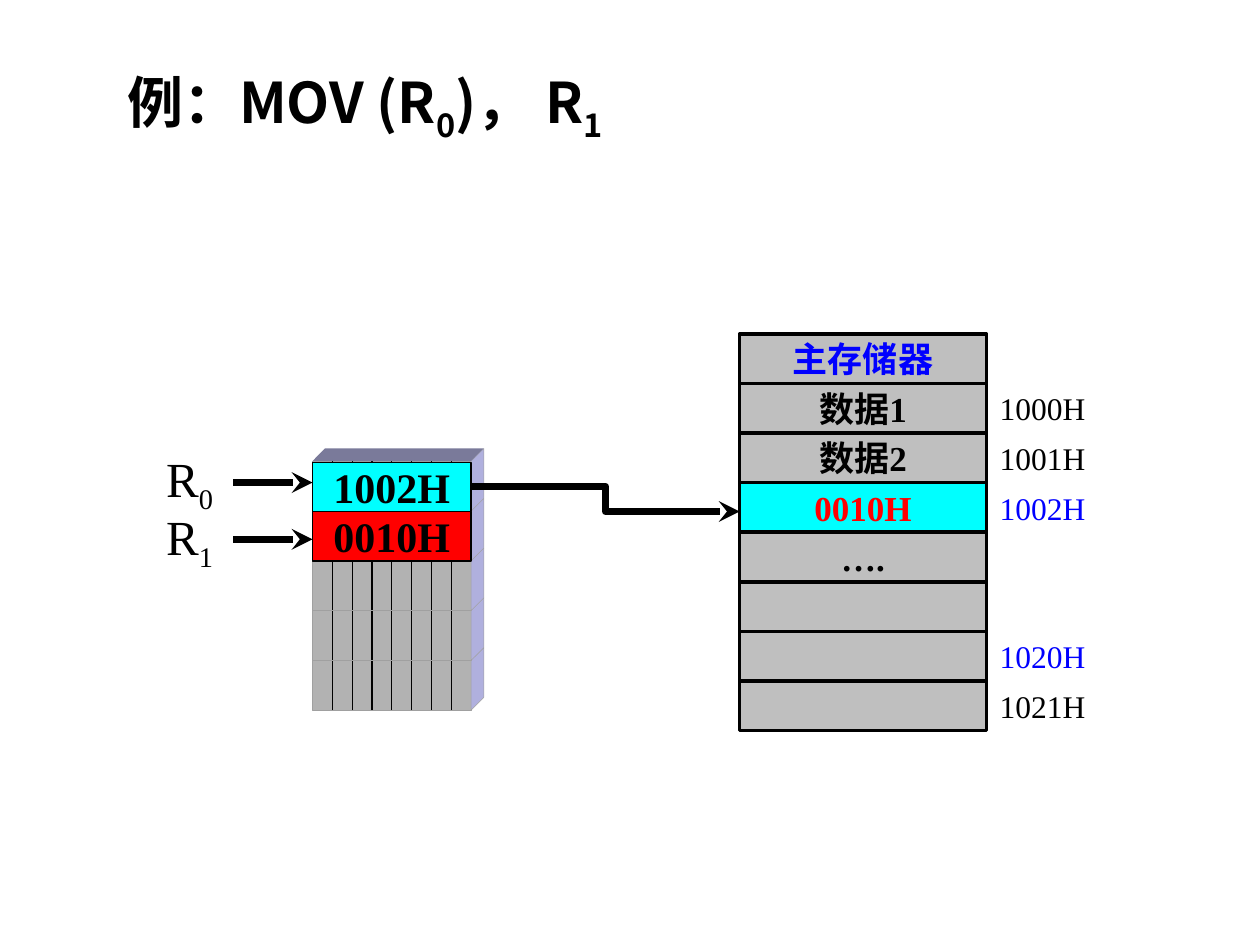
from dataclasses import dataclass

from lxml import etree
from pptx import Presentation
from pptx.dml.color import RGBColor
from pptx.enum.shapes import MSO_CONNECTOR as Connector, MSO_SHAPE as Shape
from pptx.enum.text import MSO_ANCHOR as Anchor, PP_ALIGN as Align
from pptx.oxml.ns import qn
from pptx.util import Inches, Pt

COLORS = {
    "black": "000000", "white": "FFFFFF", "blue": "0000FF", "cyan": "00FFFF",
    "red": "FF0000", "memory": "BFBFBF", "front": "B2B2B2", "edge": "A0A0A0",
    "top": "7A7A9A", "side": "B0B0DE",
}
SERIF = "Times New Roman"
SANS = "Noto Sans CJK SC"

BANK_LEFT, BANK_TOP, BANK_WIDTH = 2.48, 3.66, 1.26
BANK_ROWS, BANK_BITS, BANK_PITCH, DEPTH = 5, 8, 0.395, 0.1
MEMORY_LEFT, MEMORY_TOP, MEMORY_WIDTH = 5.87, 2.65, 1.96
MEMORY_PITCH = 3.15 / 8
ADDRESS_LEFT, ADDRESS_WIDTH = 7.76, 1.03


@dataclass
class MemoryRow:
    text: str = ""
    address: str = ""
    color: str = "black"
    fill: str = "memory"
    address_color: str = "black"


@dataclass
class Register:
    index: str
    value: str
    fill: str
    cell_top: float
    label_top: float
    arrow_y: float


MEMORY = [
    MemoryRow("主存储器", color="blue"),
    MemoryRow("数据1", "1000H"),
    MemoryRow("数据2", "1001H"),
    MemoryRow("0010H", "1002H", "red", "cyan", "blue"),
    MemoryRow("…."),
    MemoryRow(),
    MemoryRow("", "1020H", address_color="blue"),
    MemoryRow("", "1021H"),
]
REGISTERS = [
    Register("0", "1002H", "cyan", 3.67, 3.51, 3.83),
    Register("1", "0010H", "red", 4.06, 3.97, 4.28),
]


def rgb(name: str) -> RGBColor:
    return RGBColor.from_string(COLORS[name])


def write(shape, *texts: str, size: float, color: str = "black", font: str = SERIF,
          bold: bool = False, align=Align.LEFT, anchor=Anchor.TOP, wrap: bool = True) -> None:
    """Odd-numbered texts are set as subscripts."""
    frame = shape.text_frame
    frame.word_wrap = wrap
    frame.vertical_anchor = anchor
    paragraph = frame.paragraphs[0]
    paragraph.alignment = align
    for position, text in enumerate(texts):
        run = paragraph.add_run()
        run.text = text
        run.font.size = Pt(size)
        run.font.bold = bold
        run.font.name = font
        run.font.color.rgb = rgb(color)
        properties = run.font._element
        etree.SubElement(properties, qn("a:ea"), typeface=SANS)
        if position % 2:
            properties.set("baseline", "-25000")


def paint(shape, fill: str, line: str = "", width: float = 0) -> None:
    shape.shadow.inherit = False
    shape.fill.solid()
    shape.fill.fore_color.rgb = rgb(fill)
    if line:
        shape.line.color.rgb = rgb(line)
        shape.line.width = Pt(width)
    else:
        shape.line.fill.background()


def add_box(slide, left: float, top: float, width: float, height: float,
            fill: str, line: str = "", line_width: float = 0):
    shape = slide.shapes.add_shape(
        Shape.RECTANGLE, Inches(left), Inches(top), Inches(width), Inches(height))
    paint(shape, fill, line, line_width)
    return shape


def add_text(slide, left: float, top: float, width: float, height: float,
             *texts: str, **style) -> None:
    box = slide.shapes.add_textbox(Inches(left), Inches(top), Inches(width), Inches(height))
    write(box, *texts, **style)


def add_face(slide, points: list[tuple[float, float]], fill: str, line: str = "") -> None:
    corners = [(Inches(x), Inches(y)) for x, y in points]
    builder = slide.shapes.build_freeform(*corners[0])
    builder.add_line_segments(corners[1:], close=True)
    paint(builder.convert_to_shape(), fill, line, 0.25)


def add_line(slide, start: tuple[float, float], end: tuple[float, float], width: float,
             kind=Connector.STRAIGHT, arrow: bool = False) -> None:
    connector = slide.shapes.add_connector(
        kind, Inches(start[0]), Inches(start[1]), Inches(end[0]), Inches(end[1]))
    connector.line.color.rgb = rgb("black")
    connector.line.width = Pt(width)
    if arrow:
        etree.SubElement(connector.line._get_or_add_ln(), qn("a:tailEnd"), type="stealth")
    etree.SubElement(connector._element.spPr, qn("a:effectLst"))


def draw_bank(slide) -> None:
    right = BANK_LEFT + BANK_WIDTH
    for row in reversed(range(BANK_ROWS)):
        top = BANK_TOP + row * BANK_PITCH
        bottom = top + BANK_PITCH
        add_box(slide, BANK_LEFT, top, BANK_WIDTH, BANK_PITCH, "front", "edge", 0.25)
        add_face(slide, [(right, top), (right + DEPTH, top - DEPTH),
                         (right + DEPTH, bottom - DEPTH), (right, bottom)], "side", "edge")
        for bit in range(1, BANK_BITS):
            x = BANK_LEFT + bit * BANK_WIDTH / BANK_BITS
            add_line(slide, (x, top), (x, bottom), 0.75)
    add_face(slide, [(BANK_LEFT, BANK_TOP), (BANK_LEFT + DEPTH, BANK_TOP - DEPTH),
                     (right + DEPTH, BANK_TOP - DEPTH), (right, BANK_TOP)], "top")


def draw_memory(slide) -> None:
    centred = {"align": Align.CENTER, "anchor": Anchor.MIDDLE}
    tops = [MEMORY_TOP + index * MEMORY_PITCH for index in range(len(MEMORY))]
    for row, top in zip(MEMORY, tops):
        label = add_box(slide, ADDRESS_LEFT, top, ADDRESS_WIDTH, MEMORY_PITCH, "white")
        if row.address:
            write(label, row.address, size=18, color=row.address_color, **centred)
    for row, top in zip(MEMORY, tops):
        cell = add_box(slide, MEMORY_LEFT, top, MEMORY_WIDTH, MEMORY_PITCH,
                       row.fill, "black", 2)
        if row.text:
            write(cell, row.text, size=20, color=row.color, bold=True, **centred)


def draw_register(slide, register: Register) -> None:
    add_text(slide, 1.22, register.label_top, 0.59, 0.57, "R", register.index,
             size=28, wrap=False)
    add_line(slide, (1.85, register.arrow_y), (BANK_LEFT, register.arrow_y), 4, arrow=True)
    cell = add_box(slide, BANK_LEFT, register.cell_top, BANK_WIDTH, 0.39,
                   register.fill, "black", 1)
    write(cell, register.value, size=24, bold=True, wrap=False,
          align=Align.CENTER, anchor=Anchor.MIDDLE)


def main() -> None:
    presentation = Presentation()
    presentation.slide_width, presentation.slide_height = Inches(10), Inches(7.5)
    slide = presentation.slides.add_slide(presentation.slide_layouts[6])
    add_text(slide, 0.91, 0.52, 4.65, 0.64, "例：MOV (R", "0", ")， R", "1",
             size=32, font=SANS, bold=True, anchor=Anchor.MIDDLE)
    draw_bank(slide)
    draw_memory(slide)
    add_line(slide, (BANK_LEFT + BANK_WIDTH, 3.86), (MEMORY_LEFT, 4.06), 4,
             kind=Connector.ELBOW, arrow=True)
    for register in REGISTERS:
        draw_register(slide, register)
    presentation.save("out.pptx")


if __name__ == "__main__":
    main()
